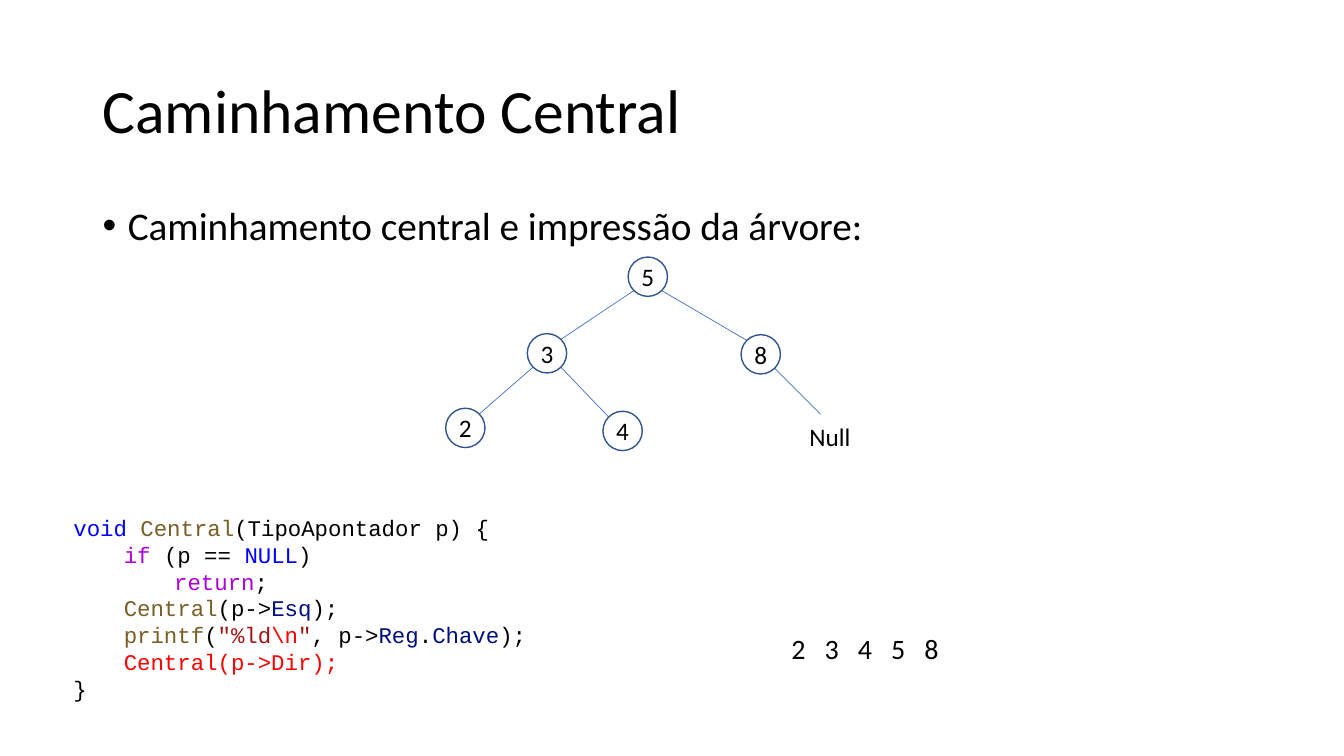
import math
from dataclasses import dataclass

from lxml import etree
from pptx import Presentation
from pptx import util as u
from pptx.dml.color import RGBColor
from pptx.enum import shapes, text
from pptx.oxml import ns
from pptx.util import Inches


@dataclass(frozen=True)
class Theme:
    font: str = "Calibri"
    mono: str = "Courier New"
    title: int = 44
    body: int = 28
    output: int = 20
    label: int = 18
    code: int = 16
    black: str = "000000"
    outline: str = "325491"
    edge: str = "4472C4"
    keyword: str = "0000FF"
    function: str = "795E26"
    control: str = "AF00DB"
    member: str = "001080"
    string: str = "A31515"
    highlight: str = "FF0000"


T = Theme()
NODE_SIZE = 0.39
NODES = {"5": (6.23, 2.55), "3": (5.23, 3.31), "8": (7.35, 3.32),
         "2": (4.42, 4.05), "4": (5.98, 4.08)}
EDGES = [("5", "3"), ("5", "8"), ("3", "2"), ("3", "4")]
NULL_TIP = (8.14, 4.11)

# Each code line: indent level, then (text, colour) pieces
CODE = [
    (0, [("void ", T.keyword), ("Central", T.function), ("(TipoApontador p) {", T.black)]),
    (1, [("if", T.control), (" (p == ", T.black), ("NULL", T.keyword), (")", T.black)]),
    (2, [("return", T.control), (";", T.black)]),
    (1, [("Central", T.function), ("(p->", T.black), ("Esq", T.member), (");", T.black)]),
    (1, [("printf", T.function), ("(", T.black), ('"%ld', T.string), ("\\n", T.highlight),
         ('"', T.string), (", p->", T.black), ("Reg", T.member), (".", T.black),
         ("Chave", T.member), (");", T.black)]),
    (1, [("Central(p->Dir);", T.highlight)]),
    (0, [("}", T.black)]),
]


def add_run(p, content, size, color=T.black, font=T.font):
    r = p.add_run()
    r.text = content
    r.font.size = u.Pt(size)
    r.font.name = font
    r.font.color.rgb = RGBColor.from_string(color)


def add_text(s, content, box, size, wrap=True, anchor=text.MSO_ANCHOR.TOP,
             spacing=None, bullet=False, tab_step=None):
    tf = s.shapes.add_textbox(*map(Inches, box)).text_frame
    tf.word_wrap = wrap
    tf.vertical_anchor = anchor
    p = tf.paragraphs[0]
    if spacing:
        p.line_spacing = spacing
    if bullet:
        add_bullet(p)
    if tab_step:
        add_tabs(p, tab_step, content.count("\t"))
    add_run(p, content, size)


def add_bullet(p, indent=0.25):
    pPr = p._p.get_or_add_pPr()
    pPr.set("marL", str(Inches(indent)))
    pPr.set("indent", str(-Inches(indent)))
    etree.SubElement(pPr, ns.qn("a:buFont")).set("typeface", "Arial")
    etree.SubElement(pPr, ns.qn("a:buChar")).set("char", "•")


def add_tabs(p, step, count):
    tabs = etree.SubElement(p._p.get_or_add_pPr(), ns.qn("a:tabLst"))
    for i in range(1, count + 1):
        tab = etree.SubElement(tabs, ns.qn("a:tab"))
        tab.set("pos", str(Inches(step * i)))
        tab.set("algn", "l")


def add_node(s, key, at):
    sp = s.shapes.add_shape(shapes.MSO_SHAPE.OVAL, *map(Inches, (*at, NODE_SIZE, NODE_SIZE)))
    sp.shadow.inherit = False
    sp.fill.background()
    sp.line.color.rgb = RGBColor.from_string(T.outline)
    sp.line.width = u.Pt(1)
    tf = sp.text_frame
    tf.margin_left = tf.margin_right = tf.margin_top = tf.margin_bottom = 0
    tf.word_wrap = False
    tf.vertical_anchor = text.MSO_ANCHOR.MIDDLE
    p = tf.paragraphs[0]
    p.alignment = text.PP_ALIGN.CENTER
    add_run(p, key, T.label)


def rim_point(key, side, down):
    """Point on a node's circle at 45 degrees; side and down are 1 or -1."""
    left, top = NODES[key]
    radius = NODE_SIZE / 2
    reach = radius * math.sqrt(0.5)
    return left + radius + side * reach, top + radius + down * reach


def add_edge(s, start, end):
    line = s.shapes.add_connector(shapes.MSO_CONNECTOR.STRAIGHT, *map(Inches, (*start, *end)))
    line.line.color.rgb = RGBColor.from_string(T.edge)
    line.line.width = u.Pt(0.5)
    etree.SubElement(line._element.spPr, ns.qn("a:effectLst"))


def add_tree(s):
    for parent, child in EDGES:
        side = 1 if NODES[child][0] > NODES[parent][0] else -1
        add_edge(s, rim_point(parent, side, 1), rim_point(child, -side, -1))
    add_edge(s, rim_point("8", 1, 1), NULL_TIP)
    for key, at in NODES.items():
        add_node(s, key, at)
    add_text(s, "Null", (7.93, 4.13, 0.61, 0.4), T.label, wrap=False)


def add_code(s, lines, box):
    tf = s.shapes.add_textbox(*map(Inches, box)).text_frame
    tf.word_wrap = True
    for i, (level, pieces) in enumerate(lines):
        p = tf.add_paragraph() if i else tf.paragraphs[0]
        p.level = level
        pPr = p._p.get_or_add_pPr()
        pPr.set("marL", str(Inches(0.5 * level)))
        pPr.set("indent", "0")
        for content, color in pieces:
            add_run(p, content, T.code, color, T.mono)


def main():
    prs = Presentation()
    prs.slide_width, prs.slide_height = Inches(13.33), Inches(7.5)
    s = prs.slides.add_slide(prs.slide_layouts[6])
    add_text(s, "Caminhamento Central", (0.92, 0.4, 11.5, 1.45), T.title,
             anchor=text.MSO_ANCHOR.MIDDLE, spacing=0.9)
    add_text(s, "Caminhamento central e impressão da árvore:", (0.92, 2, 11.5, 0.55),
             T.body, spacing=0.9, bullet=True)
    add_tree(s)
    add_code(s, CODE, (0.63, 5.05, 6.67, 1.99))
    add_text(s, "\t".join(sorted(NODES)), (7.75, 6.22, 1.67, 0.44), T.output, tab_step=0.33)
    prs.save("out.pptx")


if __name__ == "__main__":
    main()
